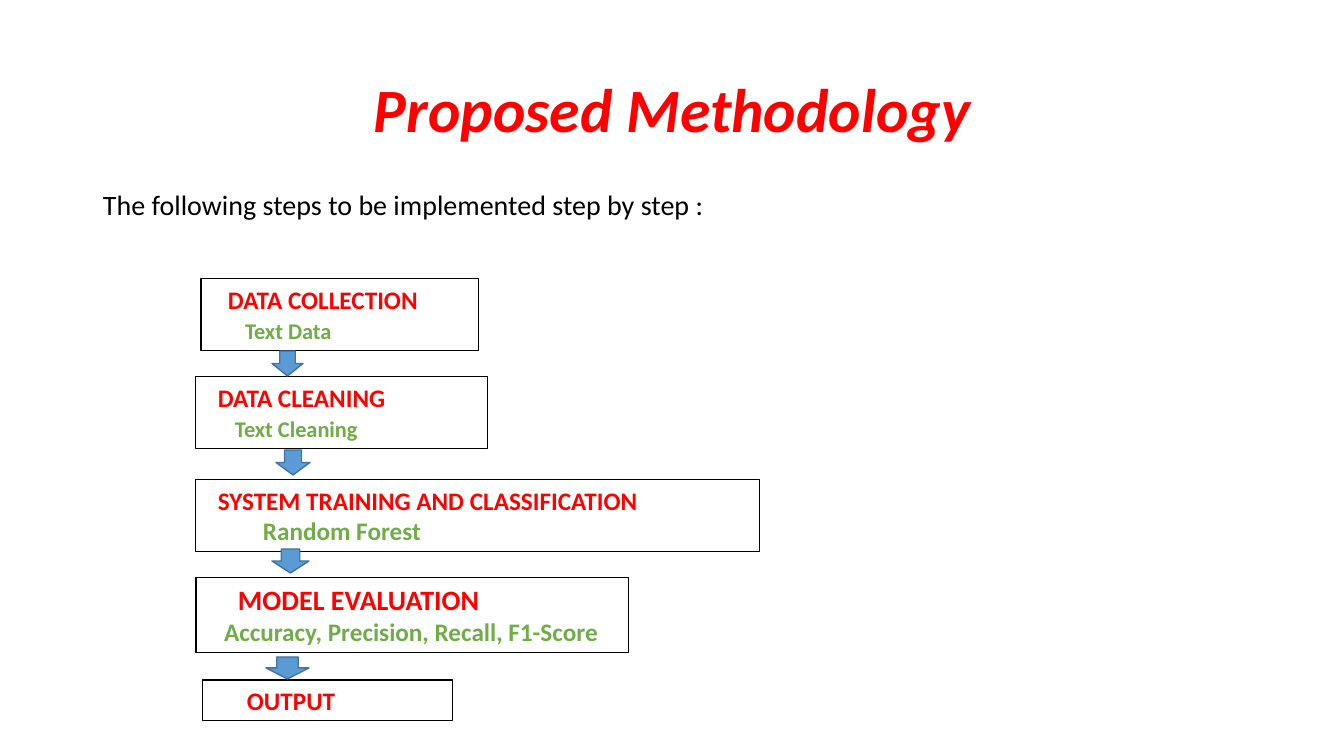
"""Build the Proposed Methodology slide with its column of steps."""
from pptx import Presentation
from pptx import util as u
from pptx.dml.color import RGBColor
from pptx.enum import shapes, text

COLORS = {"red": "FF0000", "green": "70AD47", "black": "000000",
          "blue": "5B9BD5", "edge": "43739E"}
FONT = "Calibri"
SIZE = (1344, 756)
INSET = (10, 5)
TITLE = ("Proposed Methodology", (93, 40, 1159, 146))
INTRO = ("The following steps to be implemented step by step :",
         (93, 186, 1159, 553))
STEPS = [
    ((201, 279, 278, 72), [("DATA COLLECTION", 18, "red", 17),
                           ("Text Data", 16, "green", 34)]),
    ((196, 377, 292, 72), [("DATA CLEANING", 18, "red", 12),
                           ("Text Cleaning", 16, "green", 29)]),
    ((196, 480, 564, 72), [("SYSTEM TRAINING AND CLASSIFICATION", 18, "red", 12),
                           ("Random Forest", 18, "green", 57)]),
    ((196, 578, 433, 75), [("MODEL EVALUATION", 20, "red", 32),
                           ("Accuracy, Precision, Recall, F1-Score", 18, "green", 18)]),
    ((203, 680, 250, 41), [("OUTPUT", 18, "red", 34)]),
]
ARROWS = [(272, 351, 31, 25), (276, 450, 34, 25),
          (272, 549, 37, 24), (266, 657, 43, 22)]


def px(n):
    return u.Emu(round(n * 914400 / 100.8))


def color(name):
    return RGBColor.from_string(COLORS[name])


def style(para, size, name, bold=False, slant=False):
    for run in para.runs:
        font = run.font
        font.name, font.size = FONT, u.Pt(size)
        font.bold, font.italic = bold, slant
        font.color.rgb = color(name)


def frame(shape):
    box = shape.text_frame
    box.word_wrap = True
    box.margin_left = box.margin_right = px(INSET[0])
    box.margin_top = box.margin_bottom = px(INSET[1])
    box.vertical_anchor = text.MSO_ANCHOR.TOP
    return box


def label(slide, words, area):
    box = frame(slide.shapes.add_textbox(*map(px, area)))
    box.text = words
    para = box.paragraphs[0]
    para.line_spacing = 0.9
    return box, para


def shape(slide, kind, area, edge, width, fill=None):
    item = slide.shapes.add_shape(kind, *map(px, area))
    item.shadow.inherit = False
    if fill:
        item.fill.solid()
        item.fill.fore_color.rgb = color(fill)
    else:
        item.fill.background()
    item.line.color.rgb = color(edge)
    item.line.width = u.Pt(width)
    return item


def step(slide, area, lines):
    box = frame(shape(slide, shapes.MSO_SHAPE.RECTANGLE, area, "black", 0.75))
    box.text = "\n".join(line[0] for line in lines)
    for para, (_, size, name, indent) in zip(box.paragraphs, lines):
        para.alignment = text.PP_ALIGN.LEFT
        para.space_before = u.Pt(max(0, 18 - size))
        para._p.get_or_add_pPr().set("marL", str(px(indent)))
        style(para, size, name, bold=True)


def main():
    deck = Presentation()
    deck.slide_width, deck.slide_height = map(px, SIZE)
    slide = deck.slides.add_slide(deck.slide_layouts[6])
    box, para = label(slide, *TITLE)
    box.vertical_anchor = text.MSO_ANCHOR.MIDDLE
    para.alignment = text.PP_ALIGN.CENTER
    style(para, 44, "red", bold=True, slant=True)
    box, para = label(slide, *INTRO)
    para.space_before = u.Pt(10)
    style(para, 20, "black")
    for area, lines in STEPS:
        step(slide, area, lines)
    for area in ARROWS:
        shape(slide, shapes.MSO_SHAPE.DOWN_ARROW, area, "edge", 1, "blue")
    deck.save("out.pptx")


if __name__ == "__main__":
    main()
